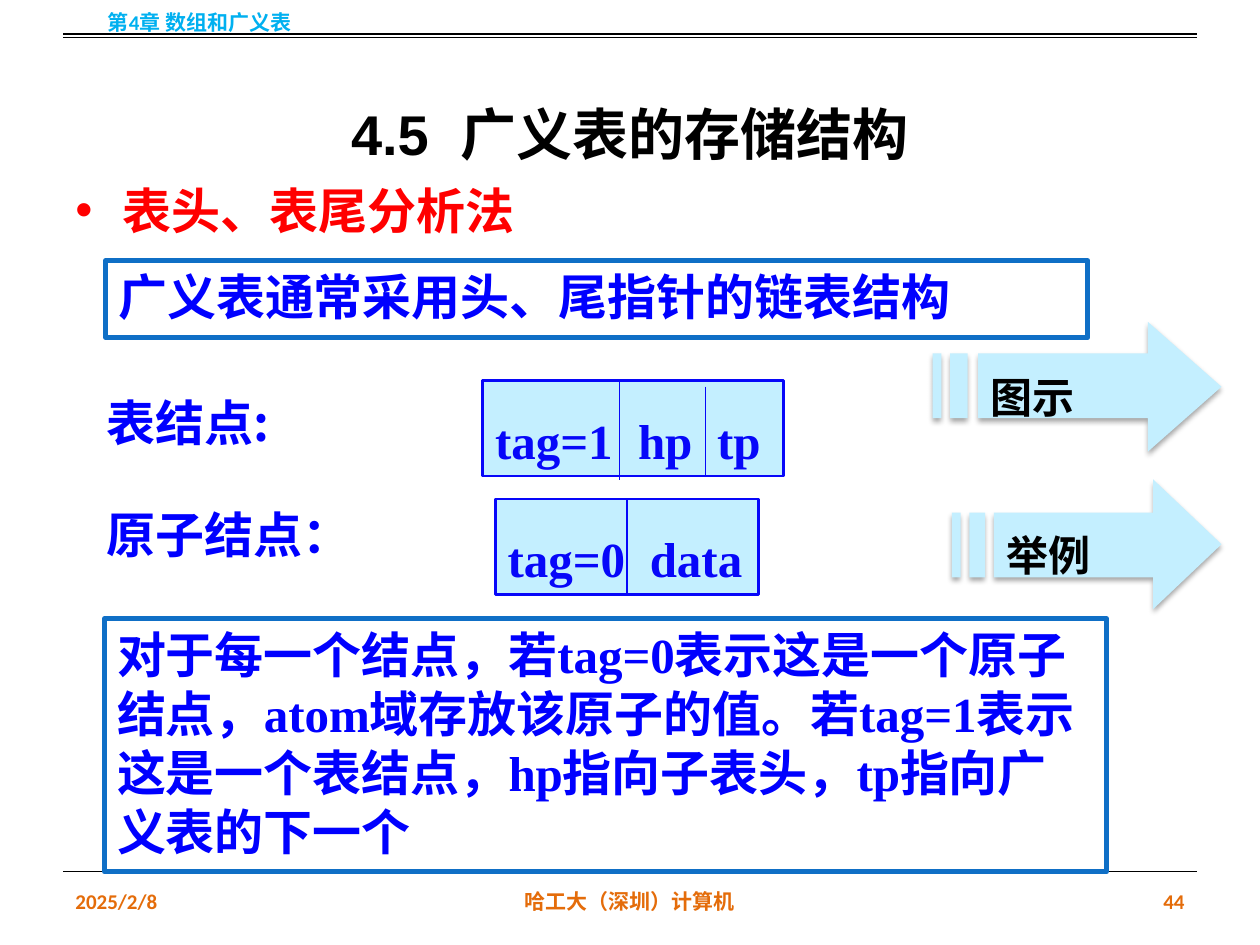
from lxml import etree
from pptx import Presentation
from pptx.dml.color import RGBColor
from pptx.enum.shapes import MSO_CONNECTOR, MSO_SHAPE
from pptx.enum.text import MSO_ANCHOR, PP_ALIGN
from pptx.oxml.ns import qn
from pptx.util import Pt

LEFT, CENTER, RIGHT = PP_ALIGN.LEFT, PP_ALIGN.CENTER, PP_ALIGN.RIGHT
TOP, MIDDLE = MSO_ANCHOR.TOP, MSO_ANCHOR.MIDDLE
RECTANGLE, STRAIGHT = MSO_SHAPE.RECTANGLE, MSO_CONNECTOR.STRAIGHT

BLACK = RGBColor(0x00, 0x00, 0x00)
RED = RGBColor(0xFF, 0x00, 0x00)
BLUE = RGBColor(0x00, 0x00, 0xFF)
NODE_BLUE = RGBColor(0x07, 0x07, 0xF9)
FRAME_BLUE = RGBColor(0x0F, 0x6F, 0xC6)
PALE_BLUE = RGBColor(0xC4, 0xEF, 0xFF)
SKY = RGBColor(0x00, 0xB0, 0xF0)
ORANGE = RGBColor(0xE4, 0x6C, 0x0A)

# Content; boxes are (left, top, width, height) in points
TITLE = ("4.5", "广义表的存储结构")
TITLE_BOX = (36, 21.6, 648, 90)
TITLE_GAP = 9
METHOD = "表头、表尾分析法"
METHOD_BOX = (36, 102.2, 648, 402)
MARGINALS = [  # text, box, alignment, colour
    ("第4章 数组和广义表", (0, -2, 228, 28.8), CENTER, SKY),
    ("2025/2/8", (36, 500.5, 168, 28.8), LEFT, ORANGE),
    ("哈工大（深圳）计算机", (246, 500.5, 228, 28.8), CENTER, ORANGE),
    ("44", (516, 500.5, 168, 28.8), RIGHT, ORANGE),
]
RULE_HEIGHTS = [19.4, 21.6, 498]
FRAMED_NOTES = [
    ("广义表通常采用头、尾指针的链表结构", (60.5, 149, 561, 44)),
    ("对于每一个结点，若tag=0表示这是一个原子结点，atom域存放该原子的值。"
     "若tag=1表示这是一个表结点，hp指向子表头，tp指向广义表的下一个",
     (59.8, 353.5, 572.4, 144.7)),
]
NODE_LABELS = [
    ("表结点:", (54, 221, 187, 41)),
    ("原子结点：", (54, 285, 187, 41)),
]
LIST_NODE = (["tag=1", "hp", "tp"], (275.8, 217.4, 172.1, 54.7), [81.7, 126.9])
ATOM_NODE = (["tag=0", "data"], (283, 285.1, 150.5, 54.7), [81.2])
LIST_DIVIDERS = [(354.2, 217.4, 274.3), (403.2, 221, 271.4)]  # x, top, bottom
ARROWS = [
    ("图示", (532.8, 183.6, 164.9, 74)),
    ("举例", (544.3, 274.3, 153.4, 74)),
]
# Arrow outlines in 32nds of the width and quarters of the height
ARROW_PARTS = [
    [(24, 0), (24, 1), (5, 1), (5, 3), (24, 3), (24, 4), (32, 2)],
    [(2, 1), (2, 3), (4, 3), (4, 1)],
    [(0, 1), (0, 3), (1, 3), (1, 1)],
]


def points(values):
    return [Pt(value) for value in values]


def write(shape, text, font, size, color, align=LEFT, anchor=TOP, spacing=None,
          wrap=True):
    frame = shape.text_frame
    frame.word_wrap = wrap
    frame.vertical_anchor = anchor
    paragraph = frame.paragraphs[0]
    paragraph.text = text
    paragraph.alignment = align
    if spacing:
        paragraph.line_spacing = spacing
    return style(paragraph, font, size, color)


def style(paragraph, name, size, color):
    font = paragraph.font
    font.name, font.size, font.bold = name, Pt(size), True
    font.color.rgb = color
    return paragraph


def add_text(box, *args, **options):
    return write(slide.shapes.add_textbox(*points(box)), *args, **options)


def add_box(box, line_color, line_width, fill_color=None):
    shape = slide.shapes.add_shape(RECTANGLE, *points(box))
    if fill_color is None:
        shape.fill.background()
    else:
        shape.fill.solid()
        shape.fill.fore_color.rgb = fill_color
    shape.line.color.rgb = line_color
    shape.line.width = Pt(line_width)
    shape.shadow.inherit = False
    return shape


def add_line(x1, y1, x2, y2, color):
    line = slide.shapes.add_connector(STRAIGHT, *points((x1, y1, x2, y2)))
    line.line.color.rgb = color
    line.line.width = Pt(0.75)
    etree.SubElement(line._element.spPr, qn("a:effectLst"))
    return line


def add_node(fields, box, tab_stops):
    node = add_box(box, NODE_BLUE, 1.5, PALE_BLUE)
    paragraph = node.text_frame.paragraphs[0]
    tabs = etree.SubElement(paragraph._p.get_or_add_pPr(), qn("a:tabLst"))
    for stop in tab_stops:
        etree.SubElement(tabs, qn("a:tab"), pos=str(Pt(stop)), algn="l")
    write(node, "\t".join(fields), "Times New Roman", 28, NODE_BLUE,
          spacing=1.4, wrap=False)
    return node


def add_arrow(label, box):
    left, top, width, height = box
    outlines = [[(left + x * width / 32, top + y * height / 4) for x, y in part]
                for part in ARROW_PARTS]
    builder = slide.shapes.build_freeform(*outlines[0][0], scale=Pt(1))
    builder.add_line_segments(outlines[0][1:], close=True)
    for stripe in outlines[1:]:
        builder.move_to(*stripe[0])
        builder.add_line_segments(stripe[1:], close=True)
    arrow = builder.convert_to_shape()
    arrow.fill.solid()
    arrow.fill.fore_color.rgb = PALE_BLUE
    arrow.line.fill.background()
    # Soft shadow straight below
    arrow.shadow.inherit = False
    effects = arrow._element.spPr.find(qn("a:effectLst"))
    shadow = etree.SubElement(effects, qn("a:outerShdw"), blurRad=str(Pt(3.1)),
                              dist=str(Pt(1.8)), dir="5400000", rotWithShape="0")
    shade = etree.SubElement(shadow, qn("a:srgbClr"), val=str(BLACK))
    etree.SubElement(shade, qn("a:alpha"), val="35000")
    write(arrow, label, "Cambria", 24, BLACK, anchor=MIDDLE, spacing=1.4)
    arrow.text_frame.margin_left = Pt(width * 5 / 32 + 7.2)


prs = Presentation()
prs.slide_width, prs.slide_height = Pt(720), Pt(540)
slide = prs.slides.add_slide(prs.slide_layouts[6])

# Title, with a widened space after the section number
number, heading = TITLE
title = add_text(TITLE_BOX, number, "Arial", 32, BLACK, CENTER, MIDDLE, 1.5)
gap = title.add_run()
gap.text = " "
gap._r.get_or_add_rPr().set("spc", str(TITLE_GAP * 100))
title.add_run().text = heading

# Bulleted method
method_box = slide.shapes.add_textbox(*points(METHOD_BOX))
bullet = method_box.text_frame.paragraphs[0]._p.get_or_add_pPr()
bullet.set("marL", str(Pt(27)))
bullet.set("indent", str(Pt(-27)))
etree.SubElement(bullet, qn("a:buFont"), typeface="Arial")
etree.SubElement(bullet, qn("a:buChar"), char="•")
write(method_box, METHOD, "Calibri", 28, RED, spacing=Pt(31))

# Header, footer and rules
for text, box, align, color in MARGINALS:
    add_text(box, text, "Calibri", 12, color, align, MIDDLE)
for y in RULE_HEIGHTS:
    add_line(36, y, 684, y, BLACK)

# Framed notes and node labels
for text, box in FRAMED_NOTES:
    write(add_box(box, FRAME_BLUE, 3), text, "Times New Roman", 28, BLUE)
for text, box in NODE_LABELS:
    add_text(box, text, "Noto Sans CJK SC", 28, BLUE)

# Node diagrams
add_node(*LIST_NODE)
for x, top, bottom in LIST_DIVIDERS:
    add_line(x, top, x, bottom, NODE_BLUE)
atom_node = add_node(*ATOM_NODE)
atom_divider = add_line(0, 0, 0, 0, NODE_BLUE)
atom_divider.begin_connect(atom_node, 0)
atom_divider.end_connect(atom_node, 2)

# Striped arrows
for label, box in ARROWS:
    add_arrow(label, box)

prs.save("out.pptx")
